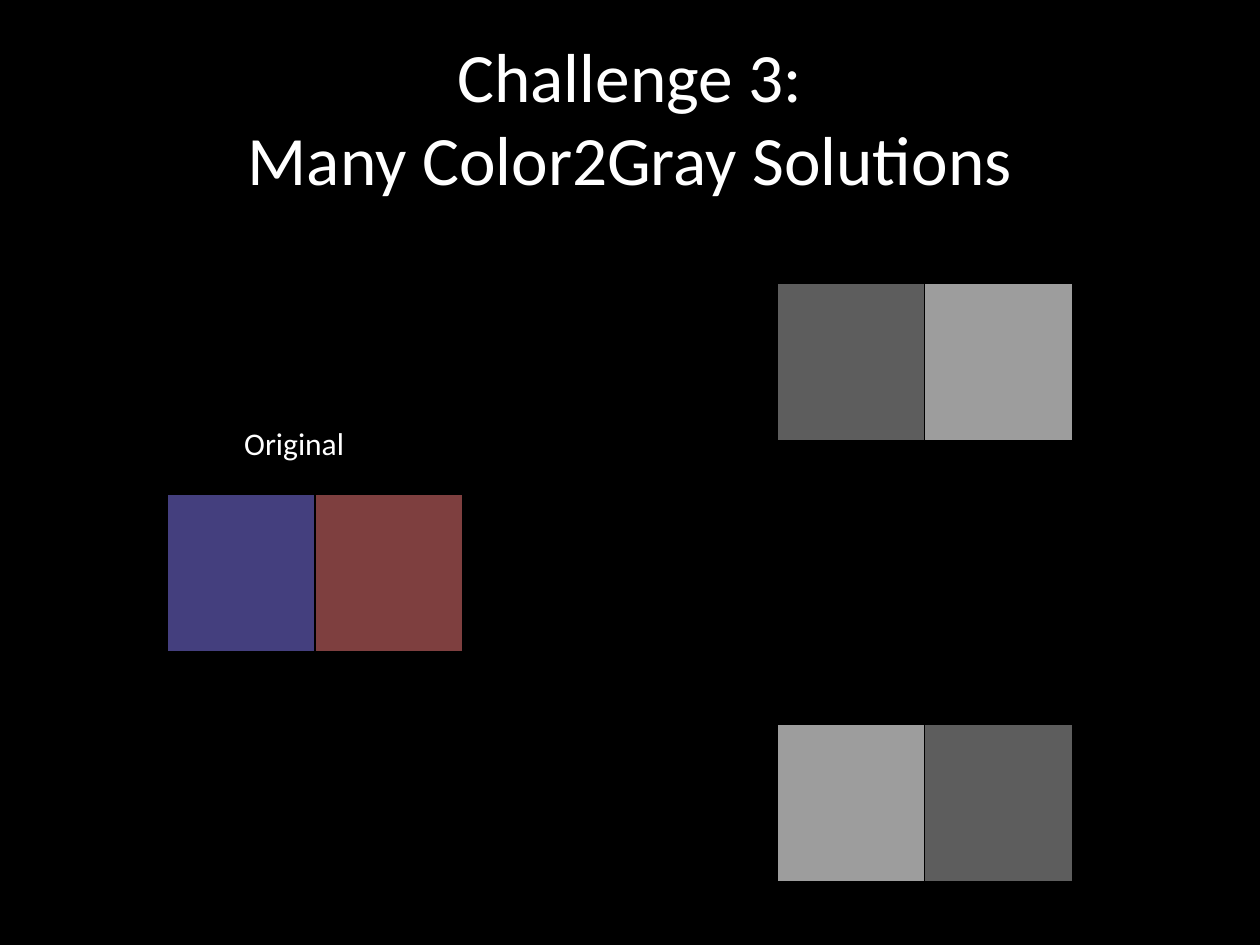
from pptx import Presentation
from pptx.dml.color import RGBColor
from pptx.enum.shapes import MSO_SHAPE
from pptx.enum.text import MSO_ANCHOR, MSO_AUTO_SIZE, PP_ALIGN
from pptx.util import Inches, Pt

TITLE = "Challenge 3:\vMany Color2Gray Solutions"
LABEL = "Original"
SWATCH_PAIRS = [
    (1.33, 3.92, ("443F7E", "7E3F3F")),
    (6.17, 2.25, ("5D5D5D", "9D9D9D")),
    (6.17, 5.75, ("9D9D9D", "5D5D5D")),
]
SWATCH_W, SWATCH_H = 1.17, 1.25


def rgb(value):
    return RGBColor.from_string(value)


def style_text(tf, size):
    for p in tf.paragraphs:
        for r in p.runs:
            r.font.name = "Calibri"
            r.font.size = Pt(size)
            r.font.color.rgb = rgb("FFFFFF")


def add_swatch(shapes, x, y, color):
    sp = shapes.add_shape(MSO_SHAPE.RECTANGLE, Inches(x), Inches(y),
                          Inches(SWATCH_W), Inches(SWATCH_H))
    sp.shadow.inherit = False
    sp.fill.solid()
    sp.fill.fore_color.rgb = rgb(color)
    sp.line.color.rgb = rgb("000000")
    sp.line.width = Pt(0.75)


def add_title(s):
    sp = s.shapes.title
    sp.left, sp.top = Inches(0.5), Inches(0.3)
    sp.width, sp.height = Inches(9), Inches(1.25)
    tf = sp.text_frame
    tf.text = TITLE
    tf.auto_size = MSO_AUTO_SIZE.NONE
    tf.vertical_anchor = MSO_ANCHOR.MIDDLE
    tf.paragraphs[0].alignment = PP_ALIGN.CENTER
    style_text(tf, 39.6)


def add_label(s):
    sp = s.shapes.add_textbox(Inches(1.84), Inches(3.32), Inches(1), Inches(0.4))
    tf = sp.text_frame
    tf.text = LABEL
    tf.word_wrap = False
    tf.auto_size = MSO_AUTO_SIZE.SHAPE_TO_FIT_TEXT
    style_text(tf, 18)


def main():
    prs = Presentation()
    prs.slide_width, prs.slide_height = Inches(10), Inches(7.5)
    s = prs.slides.add_slide(prs.slide_layouts[5])
    s.background.fill.solid()
    s.background.fill.fore_color.rgb = rgb("000000")
    for x, y, colors in SWATCH_PAIRS:
        group = s.shapes.add_group_shape()
        for i, color in enumerate(colors):
            add_swatch(group.shapes, x + i * SWATCH_W, y, color)
    add_label(s)
    add_title(s)
    prs.save("out.pptx")


if __name__ == "__main__":
    main()
